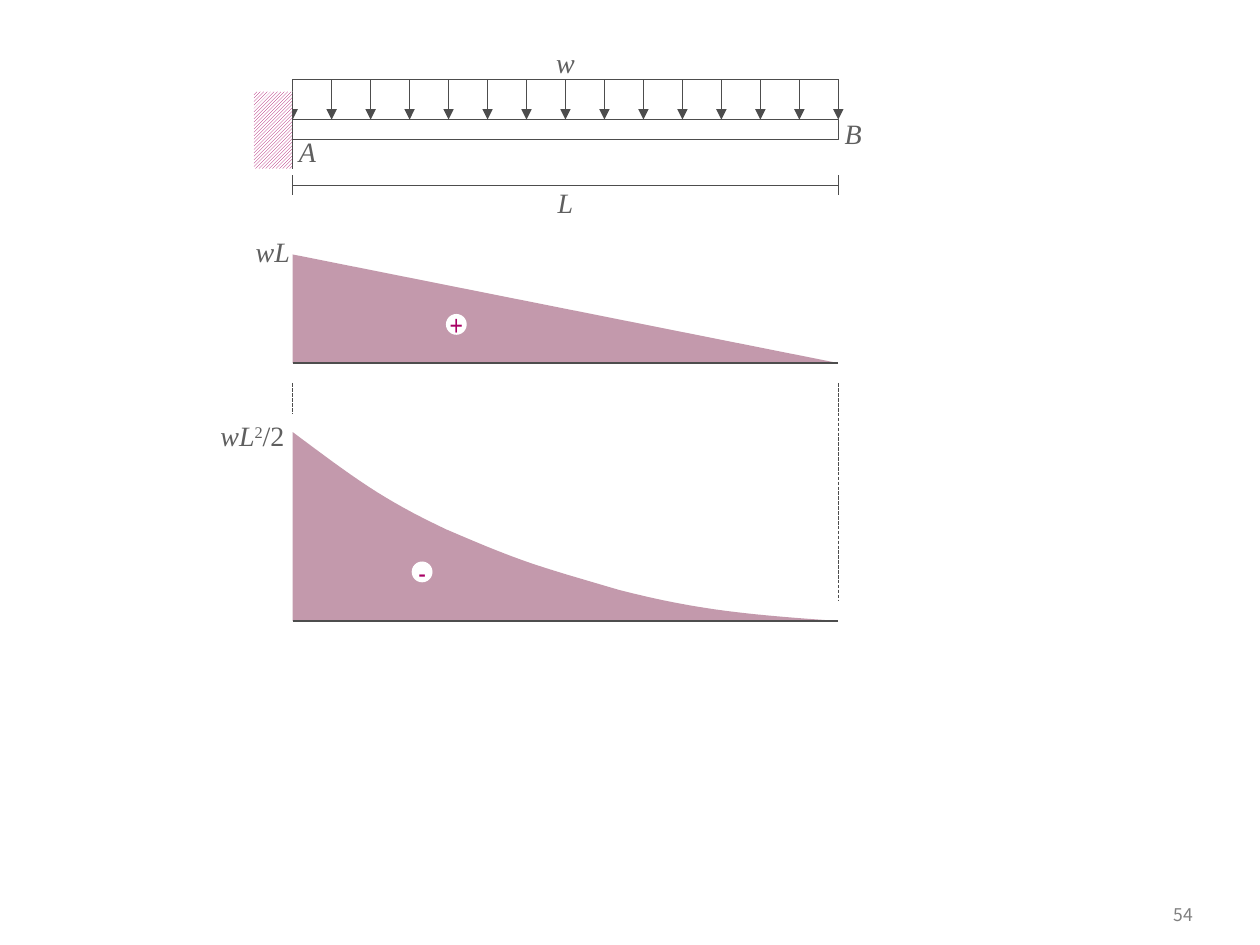
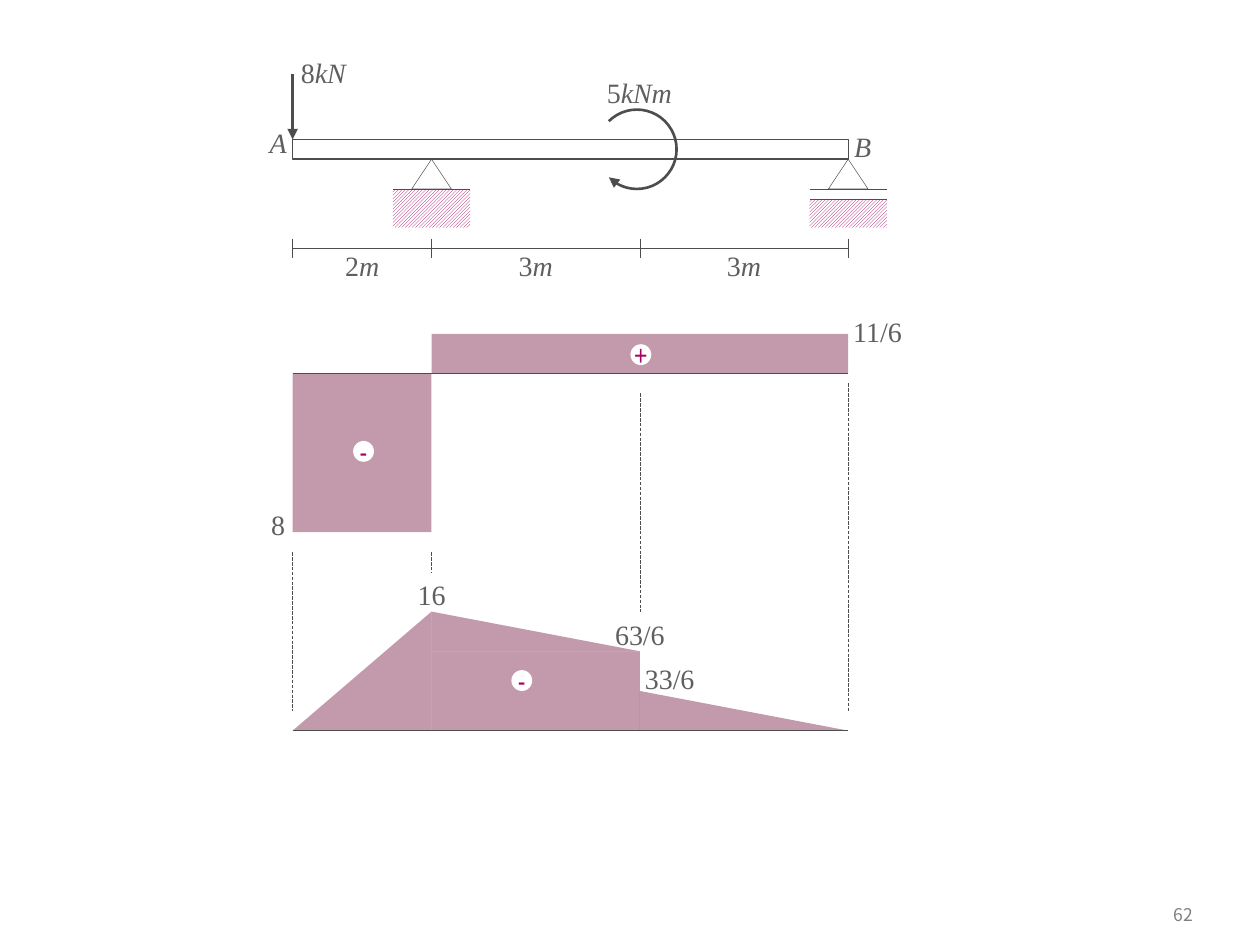
from pptx import Presentation
from pptx.dml.color import RGBColor
from pptx.enum.dml import MSO_LINE, MSO_PATTERN
from pptx.enum.shapes import MSO_CONNECTOR, MSO_SHAPE
from pptx.enum.text import MSO_ANCHOR, PP_ALIGN
from pptx.oxml.ns import qn
from pptx.util import Cm, Pt
from lxml.etree import SubElement

WHITE, INK, GREY, PAGE = "FFFFFF", "4D4D4D", "5F5F5F", "808080"
PINK, WINE = "A90165", "6B0131"
SERIF, NARROW, SANS = "Times New Roman", "Arial Narrow", "Noto Sans CJK KR"
LEFT = 5.9    # x of beam end A
DEEP = 0.4    # beam depth

# Content: labels are (centre x, centre y, runs); a run is (text, style)
# Styles: i italic, n upright, s superscript. All lengths are in cm.
UDL = {
    "page": "54", "end": 16.9, "beam": 2.41, "dim": 3.73,
    "ticks": [5.9, 16.9], "load": 1.6, "gaps": 14,
    "labels": [
        (11.4, 1.26, [("w", "i")]),
        (6.2, 3.06, [("A", "i")]),
        (17.2, 2.68, [("B", "i")]),
        (11.4, 4.08, [("L", "i")]),
        (5.5, 5.07, [("wL", "i")]),
        (5.09, 8.78, [("wL", "i"), ("2", "s"), ("/2", "n")]),
    ],
    "signs": [(9.2, 6.54, "+"), (8.51, 11.53, "-")],
    "slopes": [(5.9, 5.13, 11, 2.19, 0)],
    "blocks": [],
    "axes": [7.32, 12.52],
    "guides": [(5.9, 7.73, 8.33), (16.9, 7.73, 12.12)],
}
# Moment curve: a start point, then two controls and an end for each part
CURVE = [
    (5.9, 8.71), (7.16, 9.65), (7.7, 10.06), (8.99, 10.67),
    (10.57, 11.35), (10.8, 11.4), (12.47, 11.89),
    (14.12, 12.32), (15.24, 12.4), (16.9, 12.52),
]
COUPLE = {
    "page": "62", "end": 17.1, "beam": 2.81, "dim": 5.01,
    "ticks": [5.9, 8.7, 12.9, 17.1],
    "labels": [
        (6.52, 1.46, [("8", "n"), ("kN", "i")]),
        (5.61, 2.86, [("A", "i")]),
        (17.39, 2.96, [("B", "i")]),
        (12.89, 1.87, [("5", "n"), ("kNm", "i")]),
        (7.3, 5.35, [("2", "n"), ("m", "i")]),
        (10.8, 5.35, [("3", "n"), ("m", "i")]),
        (15, 5.35, [("3", "n"), ("m", "i")]),
        (17.69, 6.67, [("11/6", "n")]),
        (5.61, 10.58, [("8", "n")]),
        (8.7, 11.98, [("16", "n")]),
        (12.9, 12.79, [("63/6", "n")]),
        (13.5, 13.68, [("33/6", "n")]),
    ],
    "signs": [(12.92, 7.15, "+"), (7.33, 9.1, "-"), (10.52, 13.72, "-")],
    # x, y, width, height, place of the peak (0 left, 1 right)
    "slopes": [(5.9, 12.33, 2.8, 2.4, 1), (8.7, 12.33, 4.2, 0.8, 0),
               (12.9, 13.93, 4.2, 0.8, 0)],
    "blocks": [(5.9, 7.53, 2.8, 3.2), (8.7, 6.73, 8.4, 0.8),
               (8.7, 13.13, 4.2, 1.6)],
    "axes": [7.53, 14.73],
    "guides": [(5.9, 11.13, 14.33), (8.7, 11.13, 11.53),
               (12.9, 7.93, 12.33), (17.1, 7.73, 14.33)],
}
# Supports: x, gap between foot and ground, depth of ground
PROPS = [(8.7, 0, 0.78), (17.1, 0.2, 0.58)]


# Drawing tools
def tint(part, code):
    part.rgb = RGBColor.from_string(code)


def shape(slide, kind, x, y, w, h, fill=None, line=None):
    item = slide.shapes.add_shape(kind, Cm(x), Cm(y), Cm(w), Cm(h))
    paint(item, fill, line)
    return item


def paint(item, fill, line=None):
    item.shadow.inherit = False
    if fill:
        item.fill.solid()
        tint(item.fill.fore_color, fill)
    else:
        item.fill.background()
    if line:
        tint(item.line.color, INK)
        item.line.width = Pt(line)
    else:
        item.line.fill.background()


def fade(item):
    paint(item, WINE)
    color = item.fill._xPr.find(qn("a:solidFill"))[0]
    SubElement(color, qn("a:alpha")).set("val", "40000")


def arrow(item):
    SubElement(item.line._get_or_add_ln(), qn("a:tailEnd")).set("type", "triangle")


def line(slide, x1, y1, x2, y2, width=0.25, head=False, dash=False):
    item = slide.shapes.add_connector(
        MSO_CONNECTOR.STRAIGHT, Cm(x1), Cm(y1), Cm(x2), Cm(y2))
    tint(item.line.color, INK)
    item.line.width = Pt(width)
    if dash:
        item.line.dash_style = MSO_LINE.LONG_DASH
    if head:
        arrow(item)
    SubElement(item._element.spPr, qn("a:effectLst"))


def hatch(slide, x, y, w, h):
    fill = shape(slide, MSO_SHAPE.RECTANGLE, x, y, w, h).fill
    fill.patterned()
    fill.pattern = MSO_PATTERN.LIGHT_UPWARD_DIAGONAL
    tint(fill.fore_color, PINK)
    tint(fill.back_color, WHITE)


def write(item, runs, font, size, color, align=PP_ALIGN.CENTER):
    frame = item.text_frame
    frame.word_wrap = False
    frame.vertical_anchor = MSO_ANCHOR.MIDDLE
    frame.margin_left = frame.margin_right = 0
    frame.margin_top = frame.margin_bottom = 0
    para = frame.paragraphs[0]
    para.alignment = align
    for text, style in runs:
        run = para.add_run()
        run.text = text
        run.font.name, run.font.size = font, Pt(size)
        run.font.italic = style == "i"
        tint(run.font.color, color)
        if style == "s":
            run.font._element.set("baseline", "30000")


def box(slide, x, y, w, h):
    return slide.shapes.add_textbox(Cm(x), Cm(y), Cm(w), Cm(h))


# Parts that both slides share
def base(deck, data):
    slide = deck.slides.add_slide(deck.slide_layouts[6])
    write(box(slide, 22.5, 18.01, 1.55, 0.84), [(data["page"], "n")],
          SANS, 10, PAGE, PP_ALIGN.RIGHT)
    shape(slide, MSO_SHAPE.RECTANGLE, LEFT, data["beam"],
          data["end"] - LEFT, DEEP, WHITE, 0.75)
    # Dimension line
    y = data["dim"]
    line(slide, LEFT, y, data["end"], y)
    for x in data["ticks"]:
        line(slide, x, y - 0.2, x, y + 0.2)
    return slide


def graphs(slide, data):
    for x, y, w, h, peak in data["slopes"]:
        item = shape(slide, MSO_SHAPE.ISOSCELES_TRIANGLE, x, y, w, h)
        item.adjustments[0] = peak
        fade(item)
    for block in data["blocks"]:
        fade(shape(slide, MSO_SHAPE.RECTANGLE, *block))
    for y in data["axes"]:
        line(slide, LEFT, y, data["end"], y, 0.75)
    for x, top, foot in data["guides"]:
        line(slide, x, top, x, foot, dash=True)
    for x, y, sign in data["signs"]:
        disc = shape(slide, MSO_SHAPE.OVAL, x - 0.21, y - 0.21, 0.42, 0.42, WHITE)
        write(disc, [(sign, "n")], NARROW, 16, PINK)
    for x, y, runs in data["labels"]:
        write(box(slide, x - 0.8, y - 0.34, 1.6, 0.68), runs, SERIF, 16, GREY)


# Parts of one slide
def bezier(points, steps=16):
    path = [points[0]]
    for k in range(0, len(points) - 1, 3):
        part = points[k:k + 4]
        for n in range(1, steps + 1):
            t = n / steps
            mix = ((1 - t) ** 3, 3 * t * (1 - t) ** 2, 3 * t * t * (1 - t), t ** 3)
            path.append(tuple(sum(m * p[a] for m, p in zip(mix, part))
                              for a in (0, 1)))
    return path


def spread(slide, data):
    top, beam, end = data["load"], data["beam"], data["end"]
    line(slide, LEFT, top, end, top)
    step = (end - LEFT) / data["gaps"]
    for n in range(data["gaps"] + 1):
        x = LEFT + n * step
        line(slide, x, top, x, beam, head=True)
    # Fixed wall
    hatch(slide, LEFT - 0.78, 1.85, 0.78, 1.55)
    line(slide, LEFT, 1.85, LEFT, 3.4)


def moment(slide):
    path = [(Cm(x), Cm(y)) for x, y in bezier(CURVE)]
    pen = slide.shapes.build_freeform(*path[0])
    pen.add_line_segments(path[1:] + [(path[0][0], path[-1][1])], close=True)
    fade(pen.convert_to_shape())


def props(slide, data):
    foot = data["beam"] + DEEP
    for x, gap, deep in PROPS:
        shape(slide, MSO_SHAPE.ISOSCELES_TRIANGLE, x - 0.4, foot, 0.8, 0.6, line=0.25)
        edge = foot + 0.6
        hatch(slide, x - 0.78, edge + gap, 1.56, deep)
        for y in {edge, edge + gap}:
            line(slide, x - 0.78, y, x + 0.78, y)


def loads(slide, data):
    line(slide, LEFT, 1.5, LEFT, data["beam"], 1.5, head=True)
    turn = shape(slide, MSO_SHAPE.ARC, 12.04, 2.21, 1.6, 1.6, line=1.5)
    # Degrees clockwise from the right, in the unit of the preset
    for n, angle in enumerate((225, 135)):
        turn.adjustments[n] = angle * 0.6
    arrow(turn)


def main():
    deck = Presentation()
    deck.slide_width, deck.slide_height = Cm(25.4), Cm(19.05)

    slide = base(deck, UDL)
    spread(slide, UDL)
    moment(slide)
    graphs(slide, UDL)

    slide = base(deck, COUPLE)
    props(slide, COUPLE)
    loads(slide, COUPLE)
    graphs(slide, COUPLE)

    deck.save("out.pptx")


if __name__ == "__main__":
    main()
